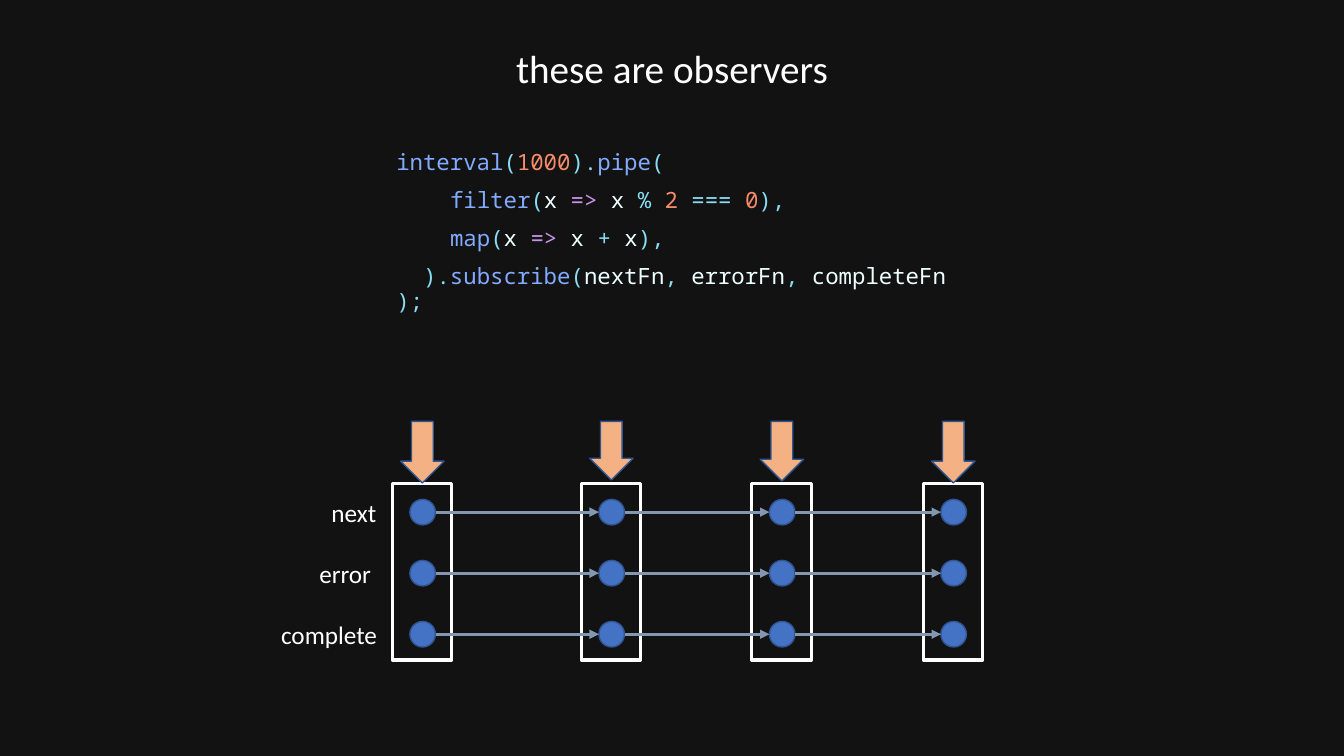
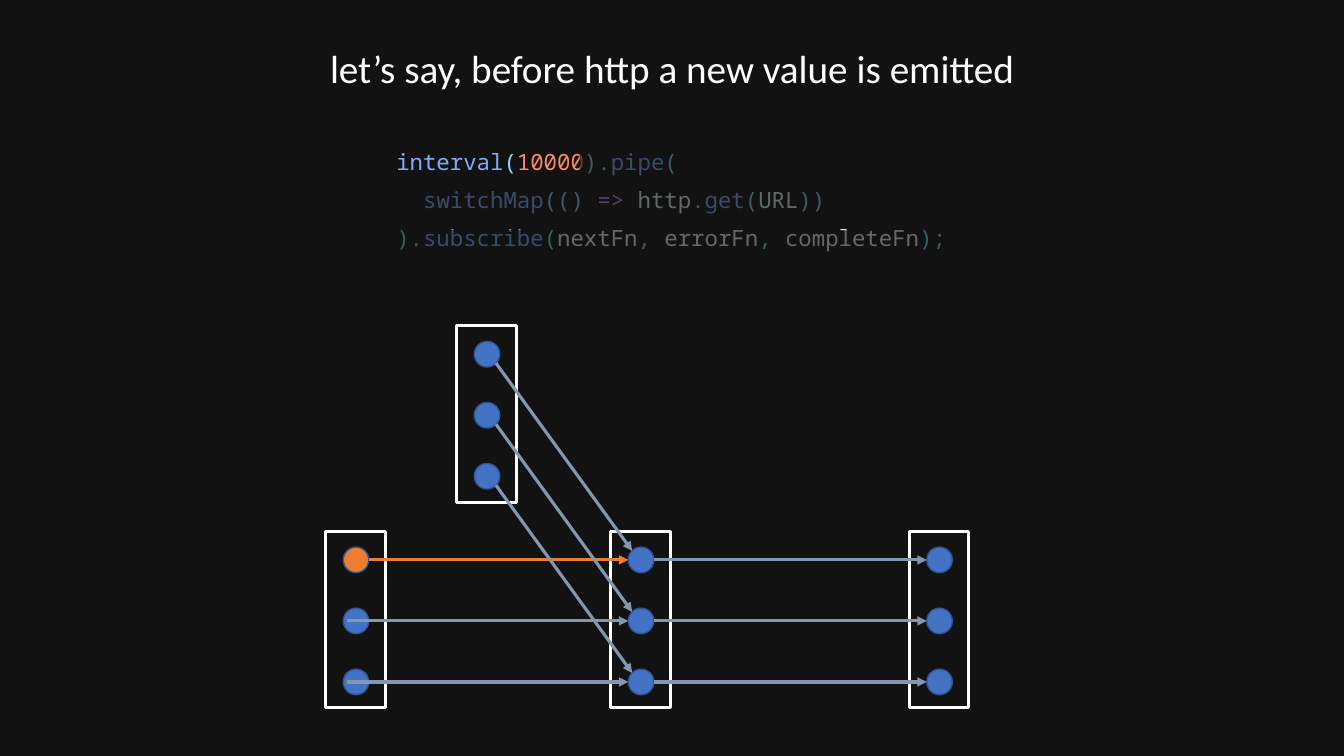
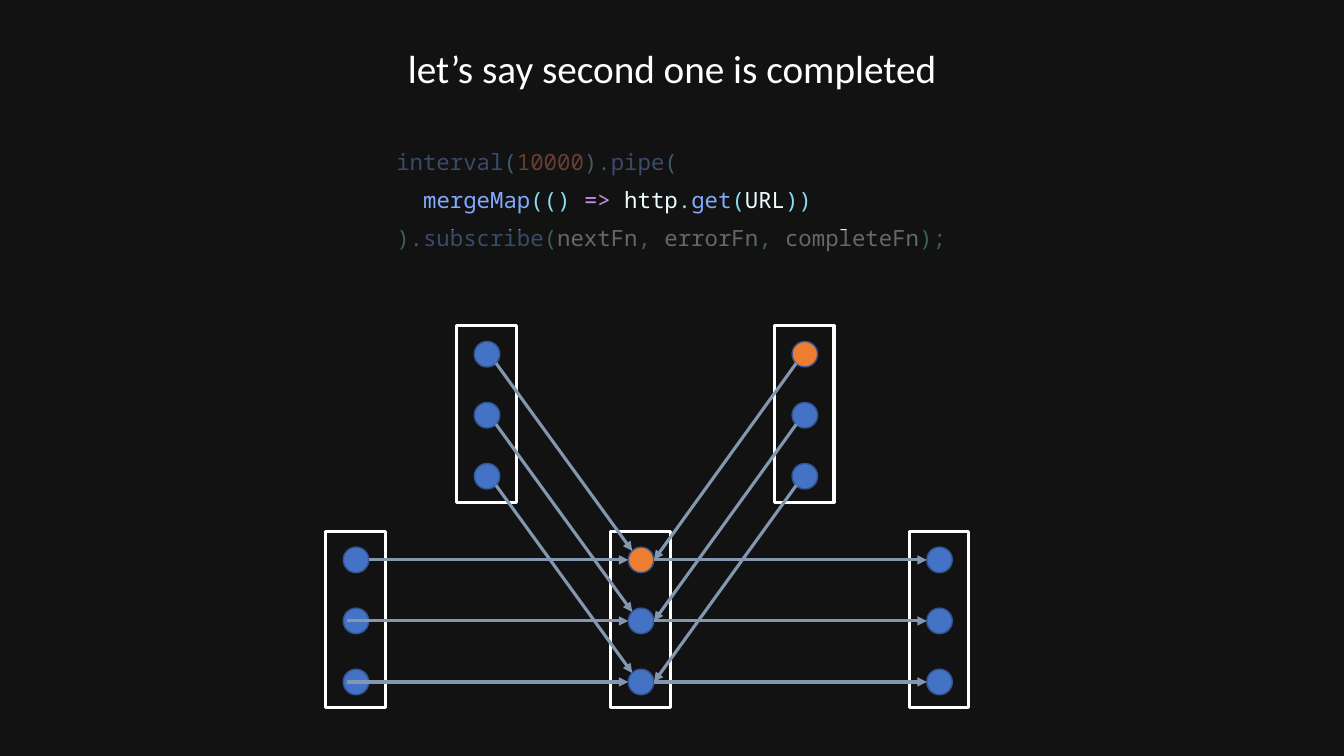
from lxml import etree
from pptx import Presentation
from pptx import util as u
from pptx.dml import color
from pptx.enum import shapes, text
from pptx.oxml.ns import qn

Pt = u.Pt
KIND = shapes.MSO_SHAPE


# Theme: colours, fonts and type sizes
class Theme:
    back, white = "121212", "FFFFFF"
    dot, hot, rim = "4472C4", "ED7D31", "325491"
    wire, arrow = "8497B0", "F4B183"
    code = {"f": "82AAFF", "p": "89DDF3", "n": "F78C6A",
            "x": "EEFFFF", "k": "C792EA", "w": "FFFFFF"}
    head = {"name": "Calibri", "size": Pt(28)}
    mono = {"name": "Noto Sans Mono", "size": Pt(16)}
    label = {"name": "Calibri", "size": Pt(18)}
    tight = {"line_spacing": 0.9, "space_before": Pt(10)}
    title = {"line_spacing": 0.9, "alignment": text.PP_ALIGN.CENTER}
    char = 9.6  # width of one code character


def rgb(code):
    return color.RGBColor.from_string(code)


# One text box: lines are (indent in characters, "colour:text|colour:text")
def write(page, box, lines, font, para, anchor=text.MSO_ANCHOR.TOP):
    frame = page.shapes.add_textbox(*map(Pt, box)).text_frame
    for key, val in {"word_wrap": True, "vertical_anchor": anchor}.items():
        setattr(frame, key, val)
    for row, (step, line) in enumerate(lines):
        par = frame.add_paragraph() if row else frame.paragraphs[0]
        for key, val in para.items():
            setattr(par, key, val)
        if step:
            props = par._p.get_or_add_pPr()
            props.set("marL", "0")
            props.set("indent", str(Pt(step * Theme.char)))
        for part in line.split("|"):
            tone, _, words = part.partition(":")
            if tone == "br":
                par.add_line_break()
                continue
            run = par.add_run()
            run.text = words
            for key, val in font.items():
                setattr(run.font, key, val)
            run.font.color.rgb = rgb(Theme.code[tone])


# One preset shape; a missing fill or line stays empty
def draw(page, kind, box, fill=None, line=None, width=1, alpha=None):
    shape = page.shapes.add_shape(kind, *map(Pt, box))
    shape.shadow.inherit = False
    if fill:
        shape.fill.solid()
        shape.fill.fore_color.rgb = rgb(fill)
    else:
        shape.fill.background()
    if line:
        shape.line.color.rgb = rgb(line)
        shape.line.width = Pt(width)
    else:
        shape.line.fill.background()
    if alpha:
        tint = shape.element.spPr.find(qn("a:solidFill"))[0]
        etree.SubElement(tint, qn("a:alpha"), val=str(alpha * 1000))


# Observer columns: sizes, and link ends measured from column and dot centre
WIDE, HIGH, DOT = 42.5, 126, 18.25
SIDE, DROP, STEP = 12.6, 11.2, 43.6
ENDS = {
    "flat": (31, 0, SIDE, 0),
    "inner": (15, 0, SIDE, 0),
    "down": (28.1, 6.4, 15.4, -6.4),
    "back": (15.6, 6.4, 31, 0),
}
ROWS = (0, 1, 2)

# Code shared by the slides
ARGS = "f:subscribe|p:(|x:nextFn|p:,|x: errorFn|p:,|x: completeFn"
START = (0, "f:interval|p:(|n:10000|p:).|f:pipe|p:(")
CALL = "|p:(() |k:=>|x: http|p:.|f:get|p:(|x:URL|p:))"
LAST = (0, f"p:).|{ARGS}|p:);")

# Column places on the last two slides: (left, top)
LOW, UP = 379.6, 232.7
BASE = [(232.6, LOW), (436.2, LOW), (649.4, LOW), (326.2, UP)]

# Slides: cols, links (from, to, ends, rows, colour), hot dots (column, row)
SLIDES = [
    {
        "title": "these are observers",
        "code": [
            (0, "f:interval|p:(|n:1000|p:).|f:pipe|p:("),
            (4, "f:filter|p:(|x:x |k:=>|x: x |p:% |n:2 |p:=== |n:0|p:),"),
            (4, "f:map|p:(|x:x |k:=>|x: x |p:+|x: x|p:),"),
            (2, f"p:).|{ARGS}|br|p:);"),
        ],
        "cols": [(left, 345.5) for left in (280.2, 415.2, 537, 659.5)],
        "hot": [],
        "links": [(n, n + 1, "flat", ROWS, Theme.wire) for n in ROWS],
        "veils": [],
        "labels": [("next", 229.7, 48.2), ("error", 221, 57.6),
                   ("complete", 193.7, 84.2)],
        "arrows": [43.9, 41.8, 42.5, 43.9],
    },
    {
        "title": "let’s say, before http a new value is emitted",
        "code": [START, (2, "f:switchMap" + CALL), LAST],
        "cols": BASE,
        "hot": [(0, 0)],
        "links": [
            (0, 1, "flat", (0,), Theme.hot),
            (0, 1, "inner", (1, 2), Theme.wire),
            (1, 2, "flat", ROWS, Theme.wire),
            (3, 1, "down", ROWS, Theme.wire),
        ],
        "veils": [(252, 164.2), (245.5, 134.6), (414, 107.3)],
    },
    {
        "title": "let’s say second one is completed",
        "code": [START, (2, "f:mergeMap" + CALL), LAST],
        "cols": BASE + [(553.2, UP)],
        "hot": [(1, 0), (4, 0)],
        "links": [
            (0, 1, "flat", (0,), Theme.wire),
            (0, 1, "inner", (1, 2), Theme.wire),
            (1, 2, "flat", ROWS, Theme.wire),
            (3, 1, "down", ROWS, Theme.wire),
            (4, 1, "back", ROWS, Theme.wire),
        ],
        "veils": [(252, 164.2), (245.5, 108.7)],
    },
]

deck = Presentation()
deck.slide_width, deck.slide_height = Pt(960), Pt(540)

for data in SLIDES:
    page = deck.slides.add_slide(deck.slide_layouts[6])
    page.background.fill.solid()
    page.background.fill.fore_color.rgb = rgb(Theme.back)

    # Title and code
    write(page, (66, 21.6, 828, 57.6), [(0, "w:" + data["title"])],
          Theme.head, Theme.title, text.MSO_ANCHOR.MIDDLE)
    write(page, (276, 104.4, 412, 146), data["code"], Theme.mono, Theme.tight)

    # Observer columns with their dots
    cols = data["cols"]
    for num, (left, top) in enumerate(cols):
        draw(page, KIND.RECTANGLE, (left, top, WIDE, HIGH),
             line=Theme.white, width=2.25)
        for row in ROWS:
            fill = Theme.hot if (num, row) in data["hot"] else Theme.dot
            box = (left + SIDE, top + DROP + row * STEP, DOT, DOT)
            draw(page, KIND.OVAL, box, fill, Theme.rim)

    # Arrows between columns
    for src, dst, ends, rows, tone in data["links"]:
        (ax, ay), (bx, by) = cols[src], cols[dst]
        dx1, dy1, dx2, dy2 = ENDS[ends]
        for row in rows:
            mid = DROP + DOT / 2 + row * STEP
            spots = (ax + dx1, ay + mid + dy1, bx + dx2, by + mid + dy2)
            wire = page.shapes.add_connector(
                shapes.MSO_CONNECTOR.STRAIGHT, *map(Pt, spots))
            wire.line.color.rgb = rgb(tone)
            wire.line.width = Pt(2.25)
            etree.SubElement(wire.line._get_or_add_ln(), qn("a:tailEnd"),
                             type="triangle")
            etree.SubElement(wire.element.spPr, qn("a:effectLst"))

    # Veils that dim code
    for left, top in data["veils"]:
        draw(page, KIND.RECTANGLE, (left, top, 432, 21.6), Theme.back,
             alpha=63)

    # Row labels
    for row, (word, left, wide) in enumerate(data.get("labels", [])):
        write(page, (left, 351.4 + row * STEP, wide, 29), [(0, "w:" + word)],
              Theme.label, {})

    # Arrows over the columns
    for (left, _), high in zip(cols, data.get("arrows", [])):
        draw(page, KIND.DOWN_ARROW, (left + 6, 301, 31, high),
             Theme.arrow, Theme.rim)

deck.save("out.pptx")
